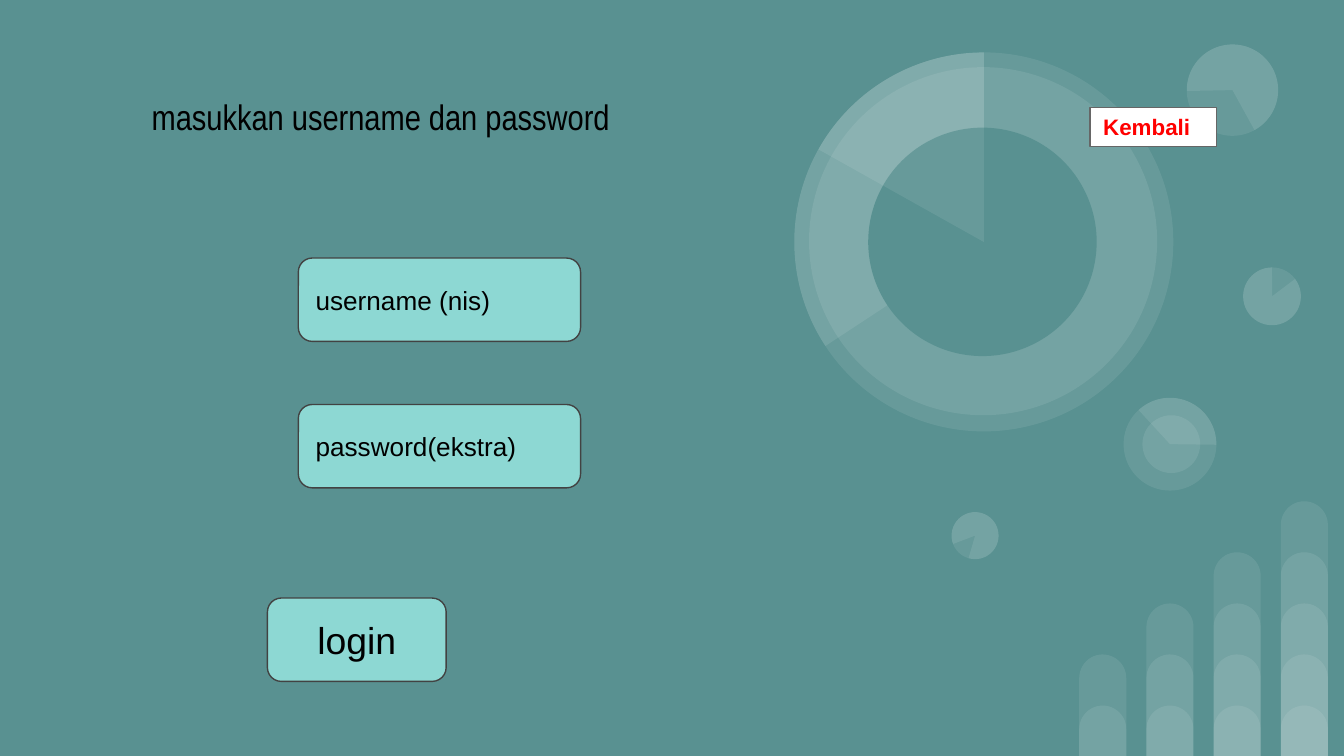
from dataclasses import dataclass
from lxml.etree import SubElement
from pptx import Presentation
from pptx.dml.color import RGBColor
from pptx.enum.shapes import MSO_SHAPE
from pptx.enum.text import MSO_ANCHOR, MSO_AUTO_SIZE, PP_ALIGN
from pptx.oxml.ns import qn
from pptx.util import Inches, Pt


@dataclass
class Theme:
    background: str = "599191"
    veil: str = "FFFFFF"
    veil_alpha: int = 9000
    field: str = "8DD8D3"
    field_line: str = "424242"
    back: str = "FFFFFF"
    back_line: str = "666666"
    back_text: str = "FF0000"
    ink: str = "000000"
    title_font: str = "Arial Narrow"
    body_font: str = "Arial"
    title_size: int = 19
    field_size: int = 14
    login_size: int = 20
    back_size: int = 12


theme = Theme()
deck = Presentation()
deck.slide_width = Inches(10)
deck.slide_height = int(deck.slide_width * 9 / 16)
page = deck.slides.add_slide(deck.slide_layouts[6])
page.background.fill.solid()
page.background.fill.fore_color.rgb = RGBColor.from_string(theme.background)

cell = deck.slide_width / 100
bottom = deck.slide_height / cell


def add_figure(kind, left, top, width, height, color, alpha=None):
    figure = page.shapes.add_shape(kind, *(round(cell * n) for n in (left, top, width, height)))
    figure.shadow.inherit = False
    figure.fill.solid()
    figure.fill.fore_color.rgb = RGBColor.from_string(color)
    figure.line.fill.background()
    if alpha:
        tint = figure.fill._xPr.find(qn("a:solidFill"))[0]
        SubElement(tint, qn("a:alpha")).set("val", str(alpha))
    return figure


def write_text(box, text, size, font, color, align=PP_ALIGN.LEFT, bold=False):
    frame = box.text_frame
    frame.word_wrap = True
    frame.margin_left = frame.margin_right = frame.margin_top = frame.margin_bottom = Inches(0.1)
    para = frame.paragraphs[0]
    para.text = text
    para.alignment = align
    para.font.size = Pt(size)
    para.font.name = font
    para.font.bold = bold
    para.font.color.rgb = RGBColor.from_string(color)


for column in range(4):
    for level in range(column + 2):
        top = 52.5 - 3.8 * level
        bar = add_figure(MSO_SHAPE.ROUND_2_SAME_RECTANGLE, 80.3 + 5 * column, top,
                         3.5, bottom - top, theme.veil, theme.veil_alpha)
        bar.adjustments[0] = 0.5
        bar.adjustments[1] = 0

discs = [
    (92.5, 19.9, 4.3, 0, None),
    (70.8, 38.1, 3.5, 196.2, None),
    (83.6, 29.6, 6.9, 90, None),
    (83.6, 29.6, 6.9, 90, (137.41, 270.77)),
    (85, 30.9, 4.3, 90, None),
    (92.5, 19.9, 4.3, 0, (322.95, 270)),
    (88.3, 3.3, 6.8, 215.9, None),
    (88.3, 3.3, 6.8, 215.9, (322.95, 205.23)),
    (59.1, 3.9, 28.2, 0, None),
    (60.2, 5, 25.9, 34.1, None),
    (59.1, 3.9, 28.2, 0, (146.69, 270)),
    (64.6, 9.5, 17, 34.1, "hole"),
    (59.1, 3.9, 28.2, 0, (209.24, 270)),
    (70.8, 38.1, 3.5, 196.2, (322.95, 270)),
]
for left, top, size, rotation, cut in discs:
    if cut == "hole":
        disc = add_figure(MSO_SHAPE.OVAL, left, top, size, size, theme.background)
    else:
        kind = MSO_SHAPE.PIE if cut else MSO_SHAPE.OVAL
        disc = add_figure(kind, left, top, size, size, theme.veil, theme.veil_alpha)
        for index, degrees in enumerate(cut or ()):
            disc.adjustments[index] = degrees * 0.6
    disc.rotation = rotation

title = page.shapes.add_textbox(*(round(cell * n) for n in (10.3, 6.1, 41.5, 5.2)))
write_text(title, "masukkan username dan password", theme.title_size, theme.title_font, theme.ink)
title.text_frame.auto_size = MSO_AUTO_SIZE.SHAPE_TO_FIT_TEXT

buttons = [
    ("username (nis)", 22.2, 19.2, 21, theme.field_size, PP_ALIGN.LEFT),
    ("password(ekstra)", 22.2, 30.1, 21, theme.field_size, PP_ALIGN.LEFT),
    ("login", 19.9, 44.5, 13.3, theme.login_size, PP_ALIGN.CENTER),
]
outlined = []
for text, left, top, width, size, align in buttons:
    button = add_figure(MSO_SHAPE.ROUNDED_RECTANGLE, left, top, width, 6.2, theme.field)
    write_text(button, text, size, theme.body_font, theme.ink, align)
    outlined.append((button, theme.field_line))

back = add_figure(MSO_SHAPE.RECTANGLE, 81.1, 8, 9.4, 2.9, theme.back)
write_text(back, "Kembali", theme.back_size, theme.body_font, theme.back_text, bold=True)
outlined.append((back, theme.back_line))

for box, color in outlined:
    box.line.color.rgb = RGBColor.from_string(color)
    box.line.width = Pt(0.75)
    box.text_frame.vertical_anchor = MSO_ANCHOR.MIDDLE

deck.save("out.pptx")
